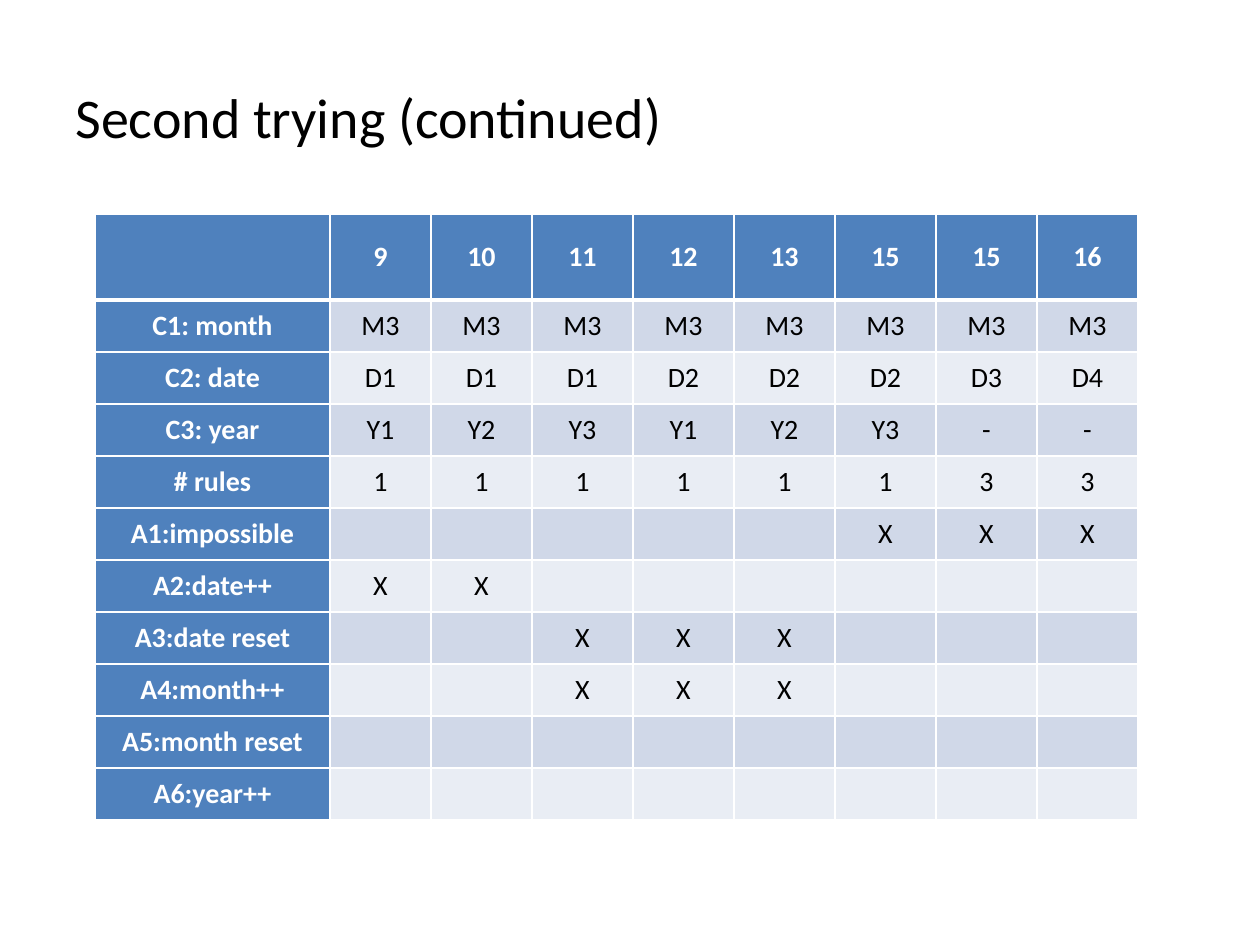
"""Build the decision table slide for the second trying, continued."""
from dataclasses import dataclass

from lxml.etree import SubElement as Sub
from pptx import Presentation
from pptx.dml.color import RGBColor as RGB
from pptx.enum.text import MSO_ANCHOR as Anchor, PP_ALIGN as Align
from pptx.oxml.ns import qn
from pptx.util import Pt

PX = 914400 / 126


@dataclass(frozen=True)
class Theme:
    font: str = "Calibri"
    title_size: int = 32
    cell_size: int = 16
    ink: str = "000000"
    white: str = "FFFFFF"
    head: str = "4F81BD"
    bands: tuple = ("E9EDF4", "D0D8E8")
    thin: int = 1
    thick: int = 3


@dataclass(frozen=True)
class Box:
    x: int
    y: int
    w: int
    h: int


@dataclass(frozen=True)
class Row:
    label: str
    values: tuple = ("",) * 8
    height: int = 52


T = Theme()
TITLE = Box(63, 38, 1134, 157)
GRID = Box(95, 214, 1043, 606)
COLS = [235] + [101] * 8
ROWS = [
    Row("", ("9", "10", "11", "12", "13", "15", "15", "16"), 86),
    Row("C1: month", ("M3",) * 8),
    Row("C2: date", ("D1", "D1", "D1", "D2", "D2", "D2", "D3", "D4")),
    Row("C3: year", ("Y1", "Y2", "Y3", "Y1", "Y2", "Y3", "-", "-")),
    Row("# rules", ("1",) * 6 + ("3",) * 2),
    Row("A1:impossible", ("",) * 5 + ("X",) * 3),
    Row("A2:date++", ("X",) * 2 + ("",) * 6),
    Row("A3:date reset", ("",) * 2 + ("X",) * 3 + ("",) * 3),
    Row("A4:month++", ("",) * 2 + ("X",) * 3 + ("",) * 3),
    Row("A5:month reset"),
    Row("A6:year++"),
]


def emu(px: int) -> int:
    return round(px * PX)


def place(box: Box) -> list[int]:
    return [emu(v) for v in (box.x, box.y, box.w, box.h)]


def apply(obj, formats: dict) -> None:
    for name, value in formats.items():
        setattr(obj, name, value)


def write(p, text: str, size: int, color: str, bold: bool = False) -> None:
    r = p.add_run()
    r.text = text
    apply(r.font, {"name": T.font, "size": Pt(size), "bold": bold})
    r.font.color.rgb = RGB.from_string(color)


def add_title(s, text: str) -> None:
    tf = s.shapes.add_textbox(*place(TITLE)).text_frame
    apply(tf, {"word_wrap": True, "vertical_anchor": Anchor.MIDDLE})
    write(tf.paragraphs[0], text, T.title_size, T.ink)


def add_borders(cell, row: int) -> None:
    widths = {"L": T.thin, "R": T.thin,
              "T": T.thick if row == 1 else T.thin,
              "B": T.thick if row == 0 else T.thin}
    tc_pr = cell._tc.get_or_add_tcPr()
    for side, width in widths.items():
        ln = Sub(tc_pr, qn(f"a:ln{side}"), w=str(Pt(width)))
        Sub(Sub(ln, qn("a:solidFill")), qn("a:srgbClr"), val=T.white)


def fill_cell(cell, text: str, row: int, col: int) -> None:
    is_head = row == 0 or col == 0
    apply(cell, {"vertical_anchor": Anchor.MIDDLE,
                 "margin_left": emu(9), "margin_right": emu(9),
                 "margin_top": 0, "margin_bottom": 0})
    add_borders(cell, row)
    cell.fill.solid()
    cell.fill.fore_color.rgb = RGB.from_string(T.head if is_head else T.bands[row % 2])
    if text:
        p = cell.text_frame.paragraphs[0]
        p.alignment = Align.CENTER
        write(p, text, T.cell_size, T.white if is_head else T.ink, is_head)


def add_grid(s, rows: list[Row]) -> None:
    table = s.shapes.add_table(len(rows), len(COLS), *place(GRID)).table
    table.first_col = True
    for column, width in zip(table.columns, COLS):
        column.width = emu(width)
    for i, row in enumerate(rows):
        table.rows[i].height = emu(row.height)
        for j, text in enumerate((row.label, *row.values)):
            fill_cell(table.cell(i, j), text, i, j)


def main() -> None:
    prs = Presentation()
    apply(prs, {"slide_width": emu(1260), "slide_height": emu(945)})
    s = prs.slides.add_slide(prs.slide_layouts[6])
    add_title(s, "Second trying (continued)")
    add_grid(s, ROWS)
    prs.save("out.pptx")


if __name__ == "__main__":
    main()
